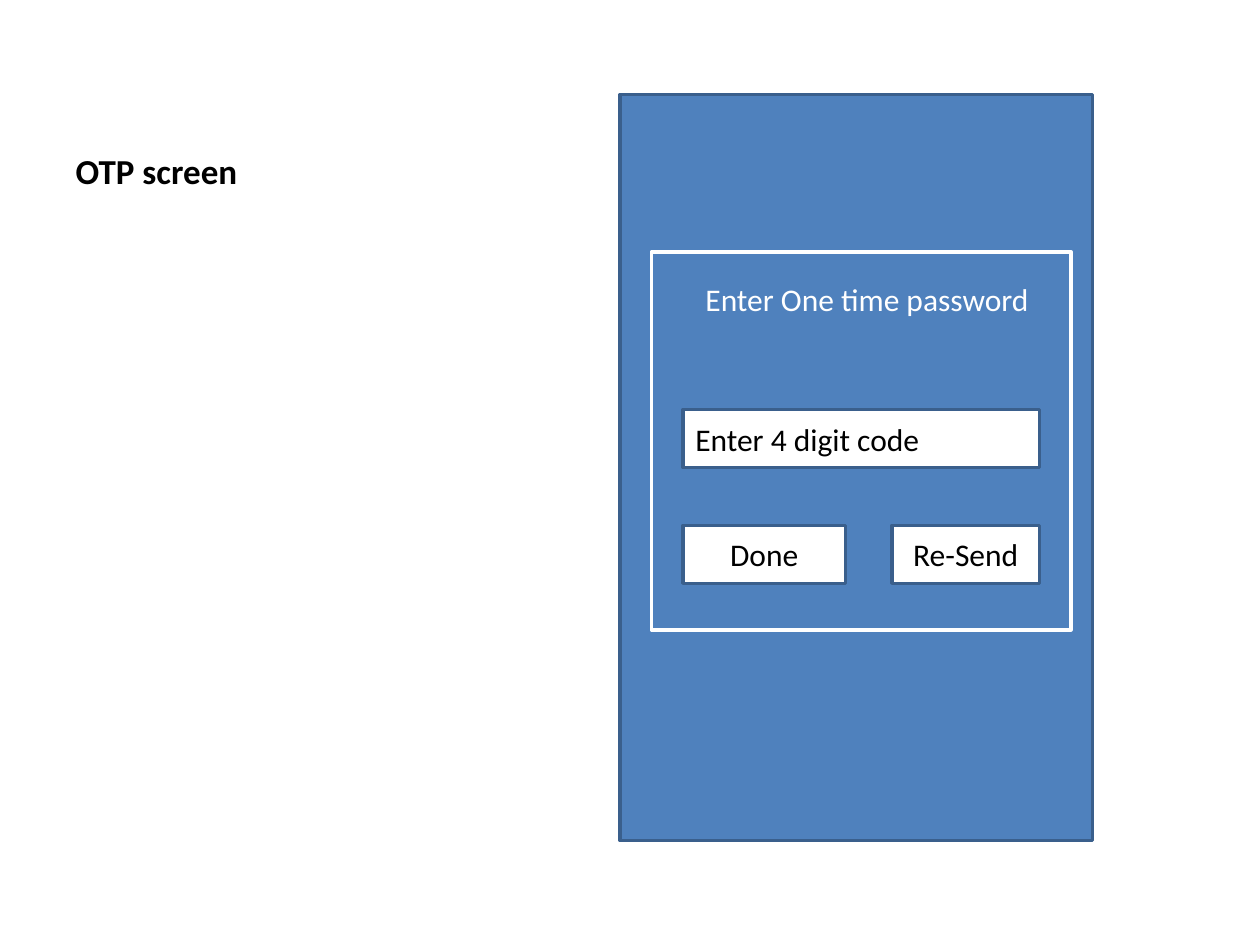
from dataclasses import dataclass

from pptx import Presentation
from pptx.dml.color import RGBColor
from pptx.enum import shapes, text
from pptx.util import Inches, Pt


@dataclass(frozen=True)
class Theme:
    font: str = "Calibri"
    ink: str = "000000"
    white: str = "FFFFFF"
    blue: str = "4F81BD"
    outline: str = "3A5F8C"
    title_size: int = 20
    body_size: int = 18
    line_width: int = 2


THEME = Theme()
LEFT, CENTER = text.PP_ALIGN.LEFT, text.PP_ALIGN.CENTER


def write(frame, wording, size, color, anchor, align=LEFT, bold=False):
    frame.text = wording
    frame.word_wrap = True
    frame.vertical_anchor = anchor
    paragraph = frame.paragraphs[0]
    paragraph.alignment = align
    font = paragraph.font
    font.name, font.size, font.bold = THEME.font, Pt(size), bold
    font.color.rgb = RGBColor.from_string(color)


def add_panel(slide, box, fill, line):
    panel = slide.shapes.add_shape(shapes.MSO_SHAPE.RECTANGLE, *map(Inches, box))
    panel.shadow.inherit = False
    panel.fill.solid()
    panel.fill.fore_color.rgb = RGBColor.from_string(fill)
    panel.line.color.rgb = RGBColor.from_string(line)
    panel.line.width = Pt(THEME.line_width)
    return panel


def add_control(slide, box, label, align):
    """Add a white input field or button with its label."""
    control = add_panel(slide, box, THEME.white, THEME.outline)
    write(control.text_frame, label, THEME.body_size, THEME.ink,
          text.MSO_ANCHOR.MIDDLE, align)


def place_title(slide, box):
    title = slide.shapes.title
    title.left, title.top, title.width, title.height = map(Inches, box)
    write(title.text_frame, "OTP screen", THEME.title_size, THEME.ink,
          text.MSO_ANCHOR.BOTTOM, bold=True)


def add_password_dialog(slide, box):
    left, top, width, height = box
    add_panel(slide, box, THEME.blue, THEME.white)

    margin, control_height = 0.25, 0.46
    field_left, field_width = left + margin, width - 2 * margin
    buttons_top = top + 2.17
    done_width, resend_width = 1.29, 1.17
    resend_left = field_left + field_width - resend_width
    controls = [
        ("Enter 4 digit code", field_left, top + 1.25, field_width, LEFT),
        ("Done", field_left, buttons_top, done_width, CENTER),
        ("Re-Send", resend_left, buttons_top, resend_width, CENTER),
    ]
    for label, x, y, control_width, align in controls:
        add_control(slide, (x, y, control_width, control_height), label, align)

    prompt = slide.shapes.add_textbox(
        *map(Inches, (left + 0.33, top + 0.17, 2.92, 0.4)))
    write(prompt.text_frame, "Enter One time password", THEME.body_size,
          THEME.white, text.MSO_ANCHOR.TOP)
    prompt.text_frame.auto_size = text.MSO_AUTO_SIZE.SHAPE_TO_FIT_TEXT


def add_phone_screen(slide, box):
    left, top, width, height = box
    add_panel(slide, box, THEME.blue, THEME.outline)
    add_password_dialog(slide, (left + 0.25, top + 1.25, 3.33, 3))


def main():
    deck = Presentation()
    deck.slide_width, deck.slide_height = Inches(10), Inches(7.5)
    slide = deck.slides.add_slide(deck.slide_layouts.get_by_name("Title Only"))
    place_title(slide, (0.5, 0.3, 3.29, 1.27))
    add_phone_screen(slide, (4.92, 0.75, 3.75, 5.92))
    deck.save("out.pptx")


if __name__ == "__main__":
    main()
